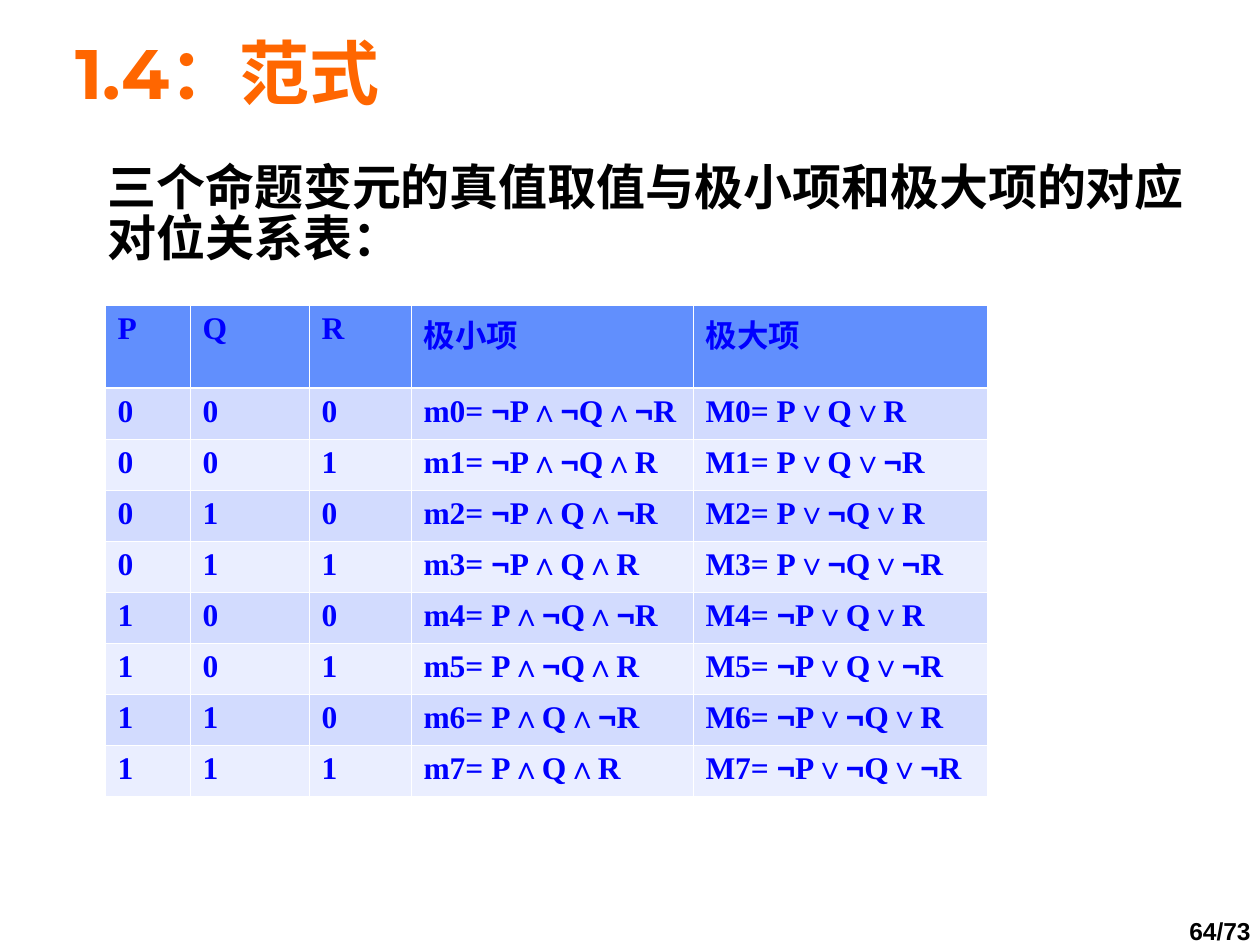
"""Build the slide listing minterms and maxterms of three propositional variables."""
from dataclasses import dataclass
from itertools import groupby, product

from lxml.etree import SubElement
from pptx import Presentation
from pptx.dml.color import RGBColor
from pptx.enum.text import MSO_ANCHOR, MSO_AUTO_SIZE, PP_ALIGN
from pptx.oxml.ns import qn
from pptx.util import Emu, Pt

VARIABLES = "PQR"


@dataclass(frozen=True)
class Theme:
    """Colours, fonts and type sizes."""
    title_color: str = "FF6600"
    text_color: str = "000000"
    table_color: str = "0000FF"
    header_fill: str = "618FFD"
    bands: tuple = ("D2DBFE", "EAEEFF")
    border: str = "FFFFFF"
    thin: float = 0.45
    thick: float = 1.47
    title_font: str = "Montserrat"
    serif: str = "Times New Roman"
    sans: str = "Arial"
    title_size: int = 40
    body_size: int = 28
    table_size: int = 18
    footer_size: int = 14


def px(length):
    """Convert pixels to EMU."""
    return Emu(round(length * 914400 / 126))


def term(name, operator, row, negated_bit):
    """Compose the minterm or maxterm that belongs to one row of values."""
    literals = ("¬" + v if bit == negated_bit else v for v, bit in zip(VARIABLES, row))
    return f"{name}= {operator.join(literals)}"


class SlideBuilder:
    """Hold the theme and the current slide, and draw its elements."""

    def __init__(self, slide, theme):
        self.slide = slide
        self.theme = theme

    def format_run(self, run, font, size, color):
        """Apply a bold typeface to a run."""
        run.font.name = font
        run.font.size = Pt(size)
        run.font.bold = True
        run.font.color.rgb = RGBColor.from_string(color)

    def set_text(self, frame, text, font, size, color, align, leading, before):
        """Fill a frame with one formatted paragraph."""
        frame.text = text
        paragraph = frame.paragraphs[0]
        paragraph.alignment = align
        paragraph.line_spacing = leading
        paragraph.space_before = Pt(before)
        self.format_run(paragraph.runs[0], font, size, color)
        return paragraph

    def title(self, text, left, top, width, height):
        """Place and format the title placeholder."""
        heading = self.slide.shapes.title
        heading.left, heading.top = px(left), px(top)
        heading.width, heading.height = px(width), px(height)
        frame = heading.text_frame
        frame.auto_size = MSO_AUTO_SIZE.NONE
        frame.vertical_anchor = MSO_ANCHOR.MIDDLE
        t = self.theme
        self.set_text(frame, text, t.title_font, t.title_size, t.title_color,
                      PP_ALIGN.LEFT, 0.93, 12.5)

    def body(self, text, left, top, width, height, indent):
        """Add the wrapped introduction."""
        box = self.slide.shapes.add_textbox(px(left), px(top), px(width), px(height))
        box.text_frame.word_wrap = True
        t = self.theme
        intro = self.set_text(box.text_frame, text, t.serif, t.body_size, t.text_color,
                              PP_ALIGN.LEFT, 0.87, 11.9)
        properties = intro._p.get_or_add_pPr()
        properties.set("marL", str(px(indent)))
        properties.set("indent", "0")

    def page_number(self, text, left, top, width, height):
        """Add the page count in the corner."""
        box = self.slide.shapes.add_textbox(px(left), px(top), px(width), px(height))
        box.text_frame.word_wrap = False
        box.text_frame.vertical_anchor = MSO_ANCHOR.MIDDLE
        t = self.theme
        self.set_text(box.text_frame, text, t.sans, t.footer_size, t.text_color,
                      PP_ALIGN.CENTER, 0.85, 8.8)

    def borders(self, cell, top, bottom):
        """Draw the four borders of a cell."""
        properties = cell._tc.get_or_add_tcPr()
        thin = self.theme.thin
        for side, weight in (("L", thin), ("R", thin), ("T", top), ("B", bottom)):
            line = SubElement(properties, qn(f"a:ln{side}"), w=str(Pt(weight)))
            fill = SubElement(line, qn("a:solidFill"))
            SubElement(fill, qn("a:srgbClr"), val=self.theme.border)

    def cell(self, cell, text, row):
        """Fill one table cell, with negation signs in the sans typeface."""
        t = self.theme
        self.borders(cell, t.thick if row == 1 else t.thin, t.thick if row == 0 else t.thin)
        cell.fill.solid()
        fill = t.bands[(row - 1) % 2] if row else t.header_fill
        cell.fill.fore_color.rgb = RGBColor.from_string(fill)
        paragraph = cell.text_frame.paragraphs[0]
        for negation, letters in groupby(text, lambda letter: letter == "¬"):
            run = paragraph.add_run()
            run.text = "".join(letters)
            self.format_run(run, t.sans if negation else t.serif, t.table_size, t.table_color)

    def table(self, rows, left, top, widths, heights):
        """Add the banded table."""
        table = self.slide.shapes.add_table(
            len(rows), len(widths), px(left), px(top), px(sum(widths)), px(sum(heights))).table
        for column, width in zip(table.columns, widths):
            column.width = px(width)
        for r, (row, height) in enumerate(zip(rows, heights)):
            table.rows[r].height = px(height)
            for c, text in enumerate(row):
                self.cell(table.cell(r, c), text, r)


def main():
    """Build and save the slide."""
    deck = Presentation()
    deck.slide_width, deck.slide_height = px(1260), px(945)
    builder = SlideBuilder(deck.slides.add_slide(deck.slide_layouts[5]), Theme())
    builder.page_number("64/73", 1131, 914, 178, 38)
    builder.title("1.4：范式", 63, 32, 1134, 88)
    builder.body("三个命题变元的真值取值与极小项和极大项的对应对位关系表：", 63, 158, 1155, 756, 32)
    truth_table = [[*VARIABLES, "极小项", "极大项"]]
    for index, row in enumerate(product("01", repeat=len(VARIABLES))):
        truth_table.append([*row, term(f"m{index}", "∧", row, "0"),
                            term(f"M{index}", "∨", row, "1")])
    builder.table(truth_table, 105, 305, [85, 119, 102, 282, 294], [83] + [51] * 8)
    deck.save("out.pptx")


if __name__ == "__main__":
    main()
